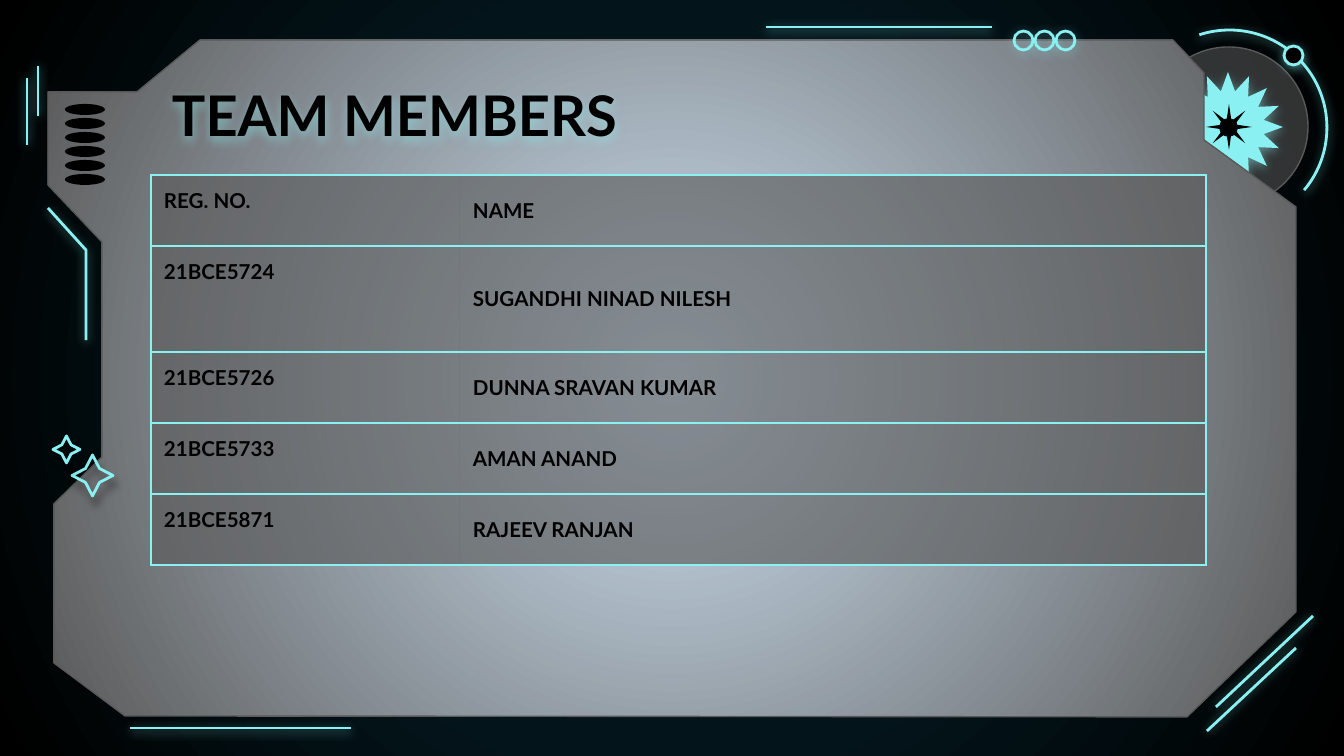
from dataclasses import dataclass

from lxml.etree import SubElement
from pptx import Presentation
from pptx.dml.color import RGBColor
from pptx.enum.shapes import MSO_CONNECTOR, MSO_SHAPE
from pptx.enum.text import MSO_ANCHOR
from pptx.oxml import parse_xml
from pptx.oxml.ns import nsdecls, qn
from pptx.util import Pt

SCALE = 914400 / 134.4


def px(length):
    return round(length * SCALE)


@dataclass(frozen=True)
class Shadow:
    color: str
    blur: float
    distance: float
    angle: int


@dataclass(frozen=True)
class Theme:
    font: str = "Lato"
    title_size: int = 30
    cell_size: int = 11
    stroke: float = 1.5
    edge: float = 0.75
    margin: int = 13
    neon: str = "8BF0F1"
    ink: str = "000000"
    night: str = "03151B"
    grey: str = "595959"
    mist: str = "CFE2F3"
    glow: Shadow = Shadow("8BF0F1", 5.6, 1.5, 90)
    halo: Shadow = Shadow("8BF0F1", 5.6, 0, 0)
    drop: Shadow = Shadow("000000", 4.5, 5.2, 71)


class SlideBuilder:
    def __init__(self, page, theme):
        self.page = page
        self.theme = theme

    def background(self, stops):
        self.page.background.fill.solid()
        self.set_gradient(self.page.background._cSld.bg.bgPr, stops)

    def set_gradient(self, parent, stops):
        marks = "".join(
            f'<a:gs pos="{position * 1000}"><a:srgbClr val="{color}"/></a:gs>'
            for position, color in stops
        )
        gradient = parse_xml(
            f'<a:gradFill {nsdecls("a")} rotWithShape="1"><a:gsLst>{marks}</a:gsLst>'
            '<a:path path="circle"><a:fillToRect l="50000" t="50000" r="50000" b="50000"/>'
            "</a:path></a:gradFill>"
        )
        parent.replace(parent.find(qn("a:solidFill")), gradient)

    def set_fill(self, fill, parent, color, alpha=100):
        fill.solid()
        fill.fore_color.rgb = RGBColor.from_string(color)
        if alpha < 100:
            swatch = parent.find(qn("a:solidFill")).find(qn("a:srgbClr"))
            SubElement(swatch, qn("a:alpha"), val=str(alpha * 1000))

    def set_line(self, line, color, width):
        line.color.rgb = RGBColor.from_string(color)
        line.width = Pt(width)

    def set_shadow(self, item, shadow):
        effects = SubElement(item._element.spPr, qn("a:effectLst"))
        if shadow:
            outer = SubElement(
                effects, qn("a:outerShdw"), blurRad=str(Pt(shadow.blur)),
                dist=str(Pt(shadow.distance)), dir=str(shadow.angle * 60000),
                algn="bl", rotWithShape="0",
            )
            swatch = SubElement(outer, qn("a:srgbClr"), val=shadow.color)
            SubElement(swatch, qn("a:alpha"), val="50000")

    def finish(self, shape, fill, line, width, shadow, alpha=100):
        if fill:
            self.set_fill(shape.fill, shape._element.spPr, fill, alpha)
        else:
            shape.fill.background()
        if line:
            self.set_line(shape.line, line, width or self.theme.stroke)
        else:
            shape.line.fill.background()
        self.set_shadow(shape, shadow)
        return shape

    def shape(self, kind, bounds, fill=None, line=None, width=None, shadow=None,
              alpha=100, adjust=()):
        shape = self.page.shapes.add_shape(kind, *map(px, bounds))
        for index, value in enumerate(adjust):
            shape.adjustments[index] = value
        return self.finish(shape, fill, line, width, shadow, alpha)

    def outline(self, points, closed, fill=None, line=None, width=None, shadow=None):
        builder = self.page.shapes.build_freeform(*points[0], scale=SCALE)
        builder.add_line_segments(points[1:], close=closed)
        return self.finish(builder.convert_to_shape(), fill, line, width, shadow)

    def line(self, start, end, shadow):
        ends = map(px, (*start, *end))
        connector = self.page.shapes.add_connector(MSO_CONNECTOR.STRAIGHT, *ends)
        self.set_line(connector.line, self.theme.neon, self.theme.stroke)
        self.set_shadow(connector, shadow)

    def set_text(self, frame, text, size):
        frame.text = text
        frame.word_wrap = True
        font = frame.paragraphs[0].runs[0].font
        font.name, font.size, font.bold = self.theme.font, Pt(size), True
        font.color.rgb = RGBColor.from_string(self.theme.ink)

    def set_margins(self, target):
        target.margin_left = target.margin_right = px(self.theme.margin)
        target.margin_top = target.margin_bottom = px(self.theme.margin)

    def title(self, text, bounds):
        box = self.page.shapes.add_textbox(*map(px, bounds))
        box.fill.background()
        self.set_shadow(box, self.theme.glow)
        self.set_text(box.text_frame, text, self.theme.title_size)
        self.set_margins(box.text_frame)
        box.text_frame.vertical_anchor = MSO_ANCHOR.MIDDLE

    def set_borders(self, cell, hidden_side):
        properties = cell._tc.get_or_add_tcPr()
        for index, side in enumerate("LRTB"):
            paint = "<a:noFill/>"
            if side != hidden_side:
                paint = f'<a:solidFill><a:srgbClr val="{self.theme.neon}"/></a:solidFill>'
            properties.insert(index, parse_xml(
                f'<a:ln{side} {nsdecls("a")} w="{Pt(self.theme.stroke)}">{paint}</a:ln{side}>'
            ))

    def table(self, rows, left, top, widths, heights):
        bounds = (left, top, sum(widths), sum(heights))
        frame = self.page.shapes.add_table(len(rows), len(widths), *map(px, bounds))
        table = frame.table
        table.first_row = table.horz_banding = False
        style = table._tbl.tblPr.find(qn("a:tableStyleId"))
        style.text = "{2D5ABB26-0587-4C30-8999-92F81FD0307C}"
        for column, width in zip(table.columns, widths):
            column.width = px(width)
        looks = ((MSO_ANCHOR.TOP, "R"), (MSO_ANCHOR.MIDDLE, "L"))
        for row, height, texts in zip(table.rows, heights, rows):
            row.height = px(height)
            for cell, text, (anchor, hidden_side) in zip(row.cells, texts, looks):
                self.set_text(cell.text_frame, text, self.theme.cell_size)
                self.set_margins(cell)
                cell.vertical_anchor = anchor
                self.set_fill(cell.fill, cell._tc.get_or_add_tcPr(), self.theme.grey, 62)
                self.set_borders(cell, hidden_side)


def main():
    deck = Presentation()
    deck.slide_width, deck.slide_height = px(1344), px(756)
    theme = Theme()
    slide = SlideBuilder(deck.slides.add_slide(deck.slide_layouts[6]), theme)
    neon_glow = {"line": theme.neon, "shadow": theme.glow}

    slide.background([(0, theme.night), (50, theme.night), (100, theme.ink)])

    slide.shape(MSO_SHAPE.ARC, (1132, 30, 195, 195), adjust=(151.21, 24.01), **neon_glow)
    slide.shape(MSO_SHAPE.OVAL, (1149, 47, 159, 159), theme.grey, theme.grey, theme.edge, alpha=55)
    slide.shape(MSO_SHAPE.STAR_16_POINT, (1173, 72, 110, 110), theme.neon,
                shadow=theme.glow, adjust=(0.33,))
    slide.shape(MSO_SHAPE.OVAL, (1219, 118, 19, 19), theme.night)
    slide.shape(MSO_SHAPE.STAR_8_POINT, (1206, 104, 46, 46), theme.ink, adjust=(0.14,))
    slide.shape(MSO_SHAPE.OVAL, (1284, 46, 19, 19), theme.ink, **neon_glow)

    panel = slide.outline(
        [(54, 663), (54, 504), (102, 457), (102, 242), (48, 185), (48, 92), (137, 92),
         (200, 40), (1173, 40), (1204, 73), (1204, 140), (1296, 207), (1296, 612),
         (1187, 717), (125, 716)],
        True, theme.grey, theme.grey, theme.edge,
    )
    slide.set_gradient(panel._element.spPr, [(0, theme.mist), (100, theme.grey)])

    for bounds in ((72, 455, 41, 41), (53, 436, 27, 27)):
        slide.shape(MSO_SHAPE.STAR_4_POINT, bounds, line=theme.neon,
                    shadow=theme.drop, adjust=(0.24,))
    for index in range(3):
        slide.shape(MSO_SHAPE.OVAL, (1014 + 21 * index, 31, 19, 19), **neon_glow)
    slide.outline([(48, 208), (86, 250), (86, 340)], False, **neon_glow)

    for start, end, shadow in (
        ((1313, 616), (1216, 707), theme.halo), ((1296, 648), (1207, 731), theme.halo),
        ((766, 27), (992, 27), theme.glow), ((38, 116), (38, 66), theme.halo),
        ((27, 145), (27, 78), theme.halo), ((130, 728), (351, 728), theme.glow),
    ):
        slide.line(start, end, shadow)
    for index in range(6):
        slide.shape(MSO_SHAPE.OVAL, (65, 104 + 14 * index, 40, 11), theme.ink)

    slide.title("TEAM MEMBERS", (159, 79, 1028, 70))
    members = [
        ("REG. NO.", "NAME"),
        ("21BCE5724", "SUGANDHI NINAD NILESH"),
        ("21BCE5726", "DUNNA SRAVAN KUMAR"),
        ("21BCE5733", "AMAN ANAND"),
        ("21BCE5871", "RAJEEV RANJAN"),
    ]
    slide.table(members, 151, 175, (309, 746), (71, 106, 71, 71, 71))
    deck.save("out.pptx")


if __name__ == "__main__":
    main()
